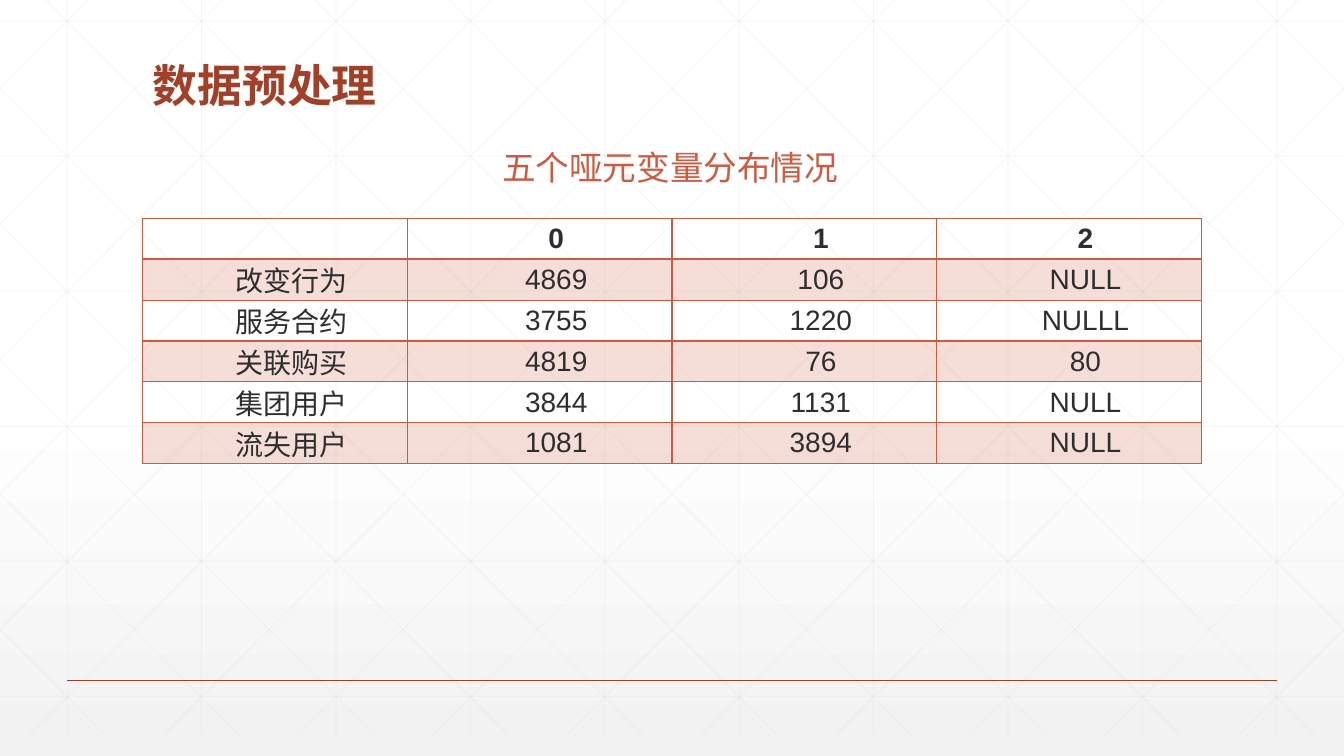
from lxml.etree import SubElement
from pptx import Presentation
from pptx.dml.color import RGBColor
from pptx.enum.shapes import MSO_CONNECTOR
from pptx.enum.text import MSO_ANCHOR, PP_ALIGN
from pptx.oxml import parse_xml
from pptx.oxml.ns import nsdecls, qn
from pptx.util import Inches, Pt

COLS, ROWS = 80, 45
UNIT = Inches(1) / 6
WHITE = RGBColor(0xFF, 0xFF, 0xFF)
MIST = RGBColor(0xF2, 0xF2, 0xF2)
GRID = RGBColor(0xD9, 0xD9, 0xD9)
RUST = RGBColor(0xA4, 0x3F, 0x27)
CORAL = RGBColor(0xD1, 0x5A, 0x3E)
INK = RGBColor(0x2D, 0x2E, 0x2D)
LATIN, HAN = "Arial", "Noto Sans CJK SC"


def span(*sizes):
    """Turn grid columns or rows into lengths."""
    return [round(size * UNIT) for size in sizes]


def fade(node, share):
    """Make the colour inside a node partly transparent."""
    color = node.find(".//" + qn("a:srgbClr"))
    SubElement(color, qn("a:alpha"), val=str(share * 1000))


class Board:
    def __init__(self, deck):
        self.slide = deck.slides.add_slide(deck.slide_layouts[6])
        self.shapes = self.slide.shapes

    def back(self, top, base, start):
        fill = self.slide.background.fill
        fill.gradient()
        fill.gradient_angle = 270
        for stop, color, place in zip(fill.gradient_stops, (top, base), (start, 1)):
            stop.color.rgb = color
            stop.position = place

    def line(self, x1, y1, x2, y2, color=GRID, width=0.5, share=25):
        line = self.shapes.add_connector(
            MSO_CONNECTOR.STRAIGHT, *span(x1, y1, x2, y2))
        line.line.color.rgb = color
        line.line.width = Pt(width)
        props = line.element.spPr
        if share < 100:
            fade(props, share)
        SubElement(props, qn("a:effectLst"))

    def style(self, para, size, color, bold=False, font=LATIN):
        for run in para.runs:
            run.font.name = font
            run.font.size = Pt(size)
            run.font.bold = bold
            run.font.color.rgb = color
            SubElement(run.font.element if hasattr(run.font, "element")
                       else run.text_frame_props if hasattr(run, "text_frame_props")
                       else para.runs[0]._r.get_or_add_rPr(),
                       qn("a:ea"), typeface=HAN)

    def text(self, words, x, y, wide, high, size, color, **look):
        frame = self.shapes.add_textbox(*span(x, y, wide, high)).text_frame
        frame.word_wrap = True
        frame.text = words
        self.style(frame.paragraphs[0], size, color, **look)
        return frame

    def edge(self, cell, color, low):
        props = cell._tc.get_or_add_tcPr()
        for spot, side in enumerate("LRTB"):
            width = Pt(low if side == "B" else 1)
            props.insert(spot, parse_xml(
                f'<a:ln{side} {nsdecls("a")} w="{width}"><a:solidFill>'
                f'<a:srgbClr val="{color}"/></a:solidFill></a:ln{side}>'))

    def cell(self, cell, words, head, band):
        cell.margin_left = cell.margin_right = Inches(0.07)
        cell.margin_top = cell.margin_bottom = 0
        cell.vertical_anchor = MSO_ANCHOR.MIDDLE
        cell.text = words
        para = cell.text_frame.paragraphs[0]
        para.alignment = PP_ALIGN.CENTER
        para._p.get_or_add_pPr().set("indent", str(Inches(0.33)))
        self.style(para, 20, INK, bold=head)
        if band:
            cell.fill.solid()
            cell.fill.fore_color.rgb = CORAL
            fade(cell._tc.tcPr, 20)
        else:
            cell.fill.background()
        self.edge(cell, CORAL, 2 if head else 1)

    def table(self, data, x, y, wide, high):
        grid = self.shapes.add_table(
            len(data), len(data[0]), *span(x, y, wide, high)).table
        grid.first_row = grid.horz_banding = False
        for r, row in enumerate(data):
            for c, words in enumerate(row):
                self.cell(grid.cell(r, c), words, r == 0, r % 2 == 1)


deck = Presentation()
deck.slide_width, deck.slide_height = span(COLS, ROWS)
board = Board(deck)

# Background: soft gradient under a net of lines
board.back(WHITE, MIST, 0.53)
STEP, TOP, RUN = 8, -1.25, 44.75
BASE = TOP + ROWS
for k in range(10):
    board.line(4 + STEP * k, TOP, 4 + STEP * k, BASE)
for k in range(6):
    board.line(0, 1.25 + 8.04 * k, COLS, 1.25 + 8.04 * k)

# Diagonals, cut at the slide's sides, each with its mirror
for k in range(-5, 10):
    start = 1.5 + STEP * k
    left, right = max(start, 0), min(start + RUN, COLS)
    high, low = (TOP + (x - start) * ROWS / RUN for x in (left, right))
    board.line(left, high, right, low)
    board.line(COLS - left, high, COLS - right, low)

# Footer rule
board.line(4, 40.5, 76, 40.5, RUST, 1, 100)

# Title
title = board.text("数据预处理", 8.5, 0.6, 19.5, 6.4, 32, RUST, bold=True, font=HAN)
title.vertical_anchor = MSO_ANCHOR.BOTTOM
title.paragraphs[0].line_spacing = 0.9

# Table of the dummy variables
board.table([
    ["", "0", "1", "2"],
    ["改变行为", "4869", "106", "NULL"],
    ["服务合约", "3755", "1220", "NULLL"],
    ["关联购买", "4819", "76", "80"],
    ["集团用户", "3844", "1131", "NULL"],
    ["流失用户", "1081", "3894", "NULL"],
], 8.5, 13, 63, 14.6)

# Table caption
board.text("五个哑元变量分布情况", 29.3, 8.45, 22.7, 3, 24, CORAL)

deck.save("out.pptx")
